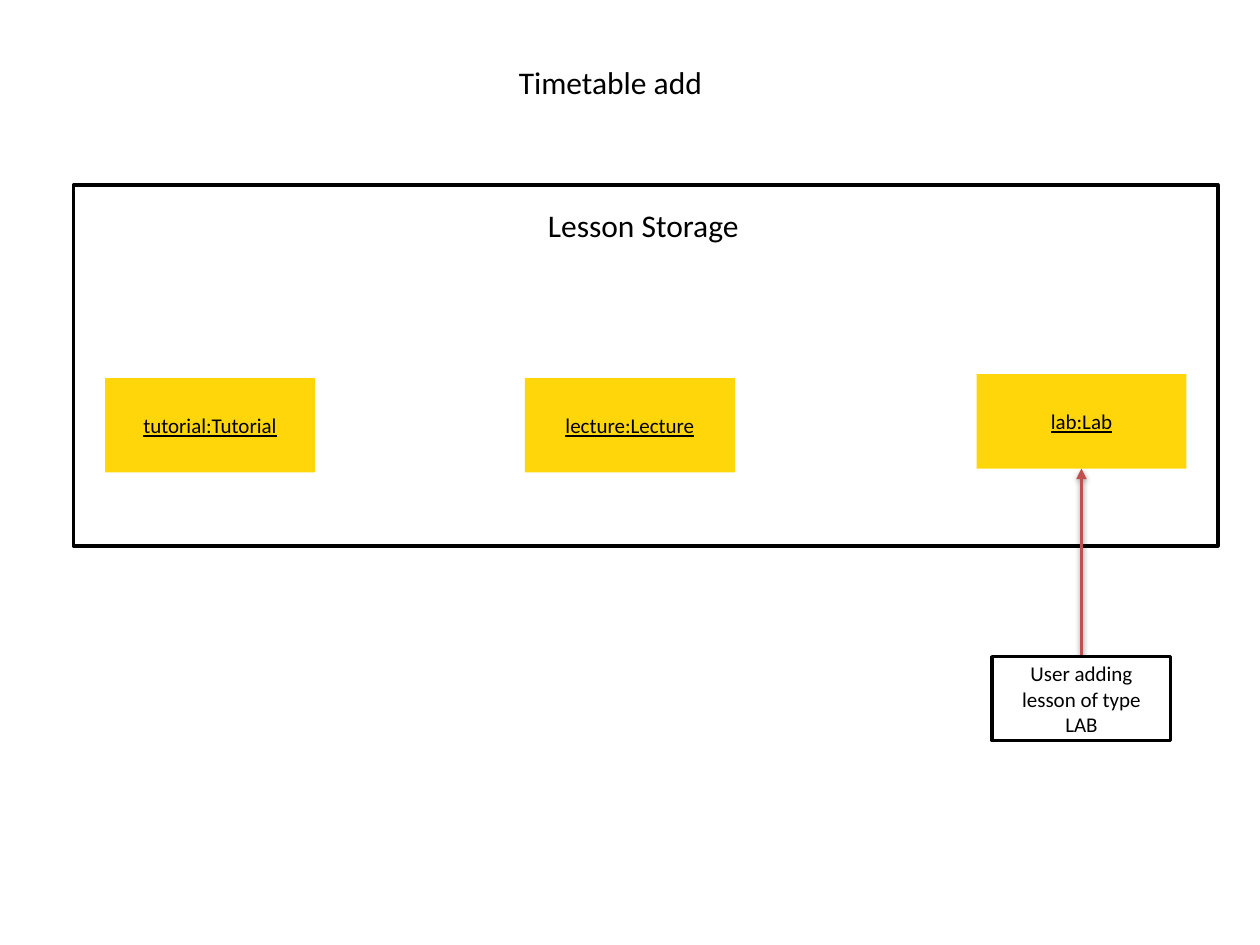
from dataclasses import dataclass

from lxml import etree
from pptx import Presentation
from pptx.dml.color import RGBColor
from pptx.enum.shapes import MSO_CONNECTOR, MSO_SHAPE
from pptx.enum.text import MSO_ANCHOR, MSO_AUTO_SIZE, PP_ALIGN
from pptx.oxml import parse_xml
from pptx.oxml.ns import nsdecls, qn
from pptx.slide import Slide
from pptx.util import Pt

RECTANGLE = MSO_SHAPE.RECTANGLE
STRAIGHT = MSO_CONNECTOR.STRAIGHT
TOP, MIDDLE = MSO_ANCHOR.TOP, MSO_ANCHOR.MIDDLE
LEFT, CENTER = PP_ALIGN.LEFT, PP_ALIGN.CENTER
FIT_SHAPE = MSO_AUTO_SIZE.SHAPE_TO_FIT_TEXT

BLACK = RGBColor(0x00, 0x00, 0x00)
WHITE = RGBColor(0xFF, 0xFF, 0xFF)
YELLOW = RGBColor(0xFF, 0xD6, 0x09)
RED = RGBColor(0xC0, 0x50, 0x4D)

SHADOW = (
    f'<a:effectLst {nsdecls("a")}><a:outerShdw blurRad="{Pt(3.1)}" dist="{Pt(1.6)}" '
    'dir="5400000" rotWithShape="0"><a:srgbClr val="000000"><a:alpha val="38000"/>'
    "</a:srgbClr></a:outerShdw></a:effectLst>"
)


@dataclass
class ObjectDiagram:
    """Draws the elements of an object diagram on one slide in a common style."""

    slide: Slide
    font: str = "Calibri"
    heading_size: float = 18
    label_size: float = 12
    line_width: float = 2

    def set_text(self, shape, text, size, align, anchor, underline=False):
        frame = shape.text_frame
        frame.text = text
        frame.vertical_anchor = anchor
        paragraph = frame.paragraphs[0]
        paragraph.alignment = align
        font = paragraph.font
        font.name, font.size = self.font, Pt(size)
        font.underline = underline
        font.color.rgb = BLACK
        return frame

    def title(self, text, left, top, width, height):
        title = self.slide.shapes.title
        title.left, title.top = Pt(left), Pt(top)
        title.width, title.height = Pt(width), Pt(height)
        frame = self.set_text(title, text, self.heading_size, LEFT, TOP)
        frame.word_wrap = False
        frame.auto_size = FIT_SHAPE

    def heading(self, text, left, top, width, height):
        box = self.slide.shapes.add_textbox(Pt(left), Pt(top), Pt(width), Pt(height))
        frame = self.set_text(box, text, self.heading_size, LEFT, TOP)
        frame.word_wrap = True
        frame.auto_size = FIT_SHAPE

    def box(self, left, top, width, height, fill, outline=None, text="", underline=False):
        box = self.slide.shapes.add_shape(
            RECTANGLE, Pt(left), Pt(top), Pt(width), Pt(height)
        )
        box.shadow.inherit = False
        box.fill.solid()
        box.fill.fore_color.rgb = fill
        if outline is None:
            box.line.fill.background()
        else:
            box.line.color.rgb = outline
            box.line.width = Pt(self.line_width)
        if text:
            self.set_text(box, text, self.label_size, CENTER, MIDDLE, underline)

    def arrow(self, x, start, end):
        arrow = self.slide.shapes.add_connector(
            STRAIGHT, Pt(x), Pt(start), Pt(x), Pt(end)
        )
        arrow.line.color.rgb = RED
        arrow.line.width = Pt(self.line_width)
        properties = arrow._element.spPr
        etree.SubElement(properties.find(qn("a:ln")), qn("a:tailEnd"), type="triangle")
        properties.append(parse_xml(SHADOW))


def main():
    deck = Presentation()
    deck.slide_width, deck.slide_height = Pt(720), Pt(540)
    diagram = ObjectDiagram(deck.slides.add_slide(deck.slide_layouts[5]))

    lesson_width, lesson_height = 120, 54
    lab_left, lab_top = 558, 213.75
    lab_center = lab_left + lesson_width / 2
    user_top, user_width, user_height = 375.25, 102, 48

    diagram.title("Timetable add", 289.25, 32.4, 120, 29)
    diagram.box(42, 105.75, 654, 206.25, WHITE, BLACK)
    diagram.heading("Lesson Storage", 306, 114, 126, 29)
    diagram.arrow(lab_center, user_top, lab_top + lesson_height)
    diagram.box(
        lab_center - user_width / 2, user_top, user_width, user_height,
        WHITE, BLACK, "User adding lesson of type LAB",
    )
    for lesson, left, top in (
        ("tutorial:Tutorial", 60, 216),
        ("lecture:Lecture", 300, 216),
        ("lab:Lab", lab_left, lab_top),
    ):
        diagram.box(
            left, top, lesson_width, lesson_height, YELLOW, text=lesson, underline=True
        )

    deck.save("out.pptx")


if __name__ == "__main__":
    main()
